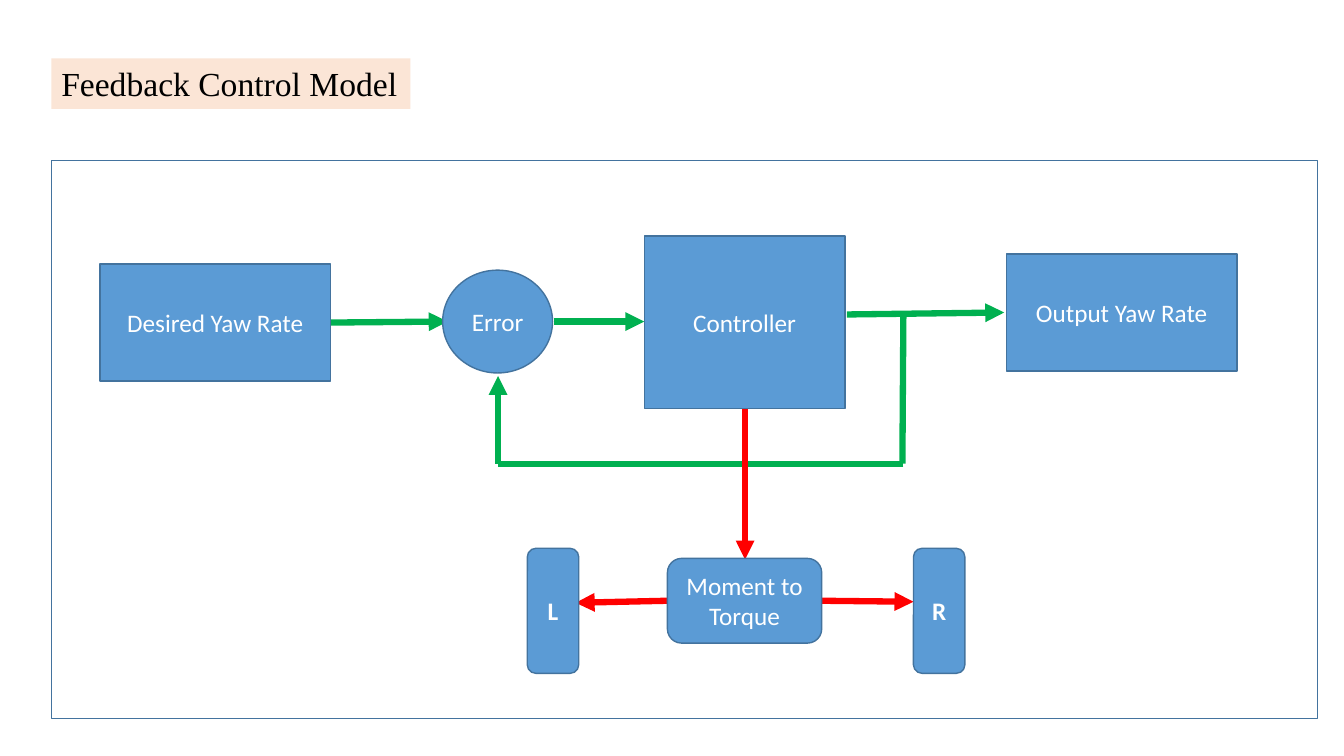
from dataclasses import dataclass

from pptx import Presentation
from pptx import util as u
from pptx.dml.color import RGBColor
from pptx.enum import shapes, text
from pptx.oxml.ns import qn
from lxml import etree

PX = 9144  # EMU per px, 100 px to the inch
FORM = shapes.MSO_SHAPE


@dataclass(frozen=True)
class Theme:
    block: str = "5B9BD5"
    outline: str = "43739E"
    label: str = "FFFFFF"
    title_fill: str = "FBE5D6"
    title_text: str = "000000"
    signal: str = "00B050"
    torque: str = "FF0000"
    body_font: str = "Calibri"
    title_font: str = "Times New Roman"
    label_size: int = 18
    title_size: int = 24
    outline_width: float = 1
    arrow_width: float = 4.5


THEME = Theme()

# Places in the diagram are px from the top left corner of its frame.
BLOCKS = [
    ("Desired Yaw Rate", FORM.RECTANGLE, (48, 103, 229, 116), False),
    ("Controller", FORM.RECTANGLE, (588, 75, 199, 171), False),
    ("Output Yaw Rate", FORM.RECTANGLE, (947, 93, 229, 116), False),
    ("Error", FORM.OVAL, (388, 109, 109, 102), False),
    ("Moment to Torque", FORM.ROUNDED_RECTANGLE, (611, 395, 153, 84), False),
    ("L", FORM.ROUNDED_RECTANGLE, (472, 385, 51, 124), True),
    ("R", FORM.ROUNDED_RECTANGLE, (855, 385, 51, 124), True),
]
SIGNALS = [
    ((276, 161), (393, 160), True),
    ((498, 160), (588, 160), True),
    ((789, 153), (945, 151), True),
    ((845, 151), (844, 301), False),
    ((845, 301), (443, 301), False),
    ((443, 301), (443, 214), True),
]
TORQUES = [
    ((688, 246), (688, 396), True),
    ((764, 437), (855, 438), True),
    ((611, 437), (520, 439), True),
]


def emu(*lengths):
    return [u.Emu(length * PX) for length in lengths]


def write(frame, wording, color, **font_format):
    paragraph = frame.paragraphs[0]
    run = paragraph.add_run()
    run.text = wording
    run.font.color.rgb = RGBColor.from_string(color)
    for attribute, value in font_format.items():
        setattr(run.font, attribute, value)
    return paragraph


def add_outlined(slide, form, box, fill=None):
    outlined = slide.shapes.add_shape(form, *emu(*box))
    outlined.shadow.inherit = False
    if fill:
        outlined.fill.solid()
        outlined.fill.fore_color.rgb = RGBColor.from_string(fill)
    else:
        outlined.fill.background()
    outlined.line.color.rgb = RGBColor.from_string(THEME.outline)
    outlined.line.width = u.Pt(THEME.outline_width)
    return outlined


def add_block(slide, label, form, box, bold):
    frame = add_outlined(slide, form, box, THEME.block).text_frame
    frame.word_wrap = True
    frame.vertical_anchor = text.MSO_ANCHOR.MIDDLE
    paragraph = write(frame, label, THEME.label, name=THEME.body_font,
                      size=u.Pt(THEME.label_size), bold=bold)
    paragraph.alignment = text.PP_ALIGN.CENTER


def add_flow(slide, start, end, color, has_head):
    flow = slide.shapes.add_connector(
        shapes.MSO_CONNECTOR.STRAIGHT, *emu(*start, *end))
    flow.line.color.rgb = RGBColor.from_string(color)
    flow.line.width = u.Pt(THEME.arrow_width)
    if has_head:
        etree.SubElement(flow.line._get_or_add_ln(), qn("a:tailEnd"),
                         type="triangle")
    etree.SubElement(flow._element.spPr, qn("a:effectLst"))


def add_title(slide, box):
    title = slide.shapes.add_textbox(*emu(*box))
    title.fill.solid()
    title.fill.fore_color.rgb = RGBColor.from_string(THEME.title_fill)
    frame = title.text_frame
    frame.word_wrap = False
    frame.auto_size = text.MSO_AUTO_SIZE.SHAPE_TO_FIT_TEXT
    write(frame, "Feedback Control Model", THEME.title_text,
          name=THEME.title_font, size=u.Pt(THEME.title_size))


def add_diagram(slide, box):
    """Draw the frame, then the flows, then the blocks that cover their ends."""
    left, top = box[:2]
    add_outlined(slide, FORM.RECTANGLE, box)
    for color, flows in ((THEME.signal, SIGNALS), (THEME.torque, TORQUES)):
        for start, end, has_head in flows:
            add_flow(slide, (left + start[0], top + start[1]),
                     (left + end[0], top + end[1]), color, has_head)
    for label, form, (x, y, width, height), bold in BLOCKS:
        add_block(slide, label, form, (left + x, top + y, width, height), bold)


def main():
    deck = Presentation()
    deck.slide_width, deck.slide_height = emu(1333, 750)
    slide = deck.slides.add_slide(deck.slide_layouts[6])
    add_title(slide, (51, 58, 356, 50))
    add_diagram(slide, (51, 159, 1256, 554))
    deck.save("out.pptx")


if __name__ == "__main__":
    main()
